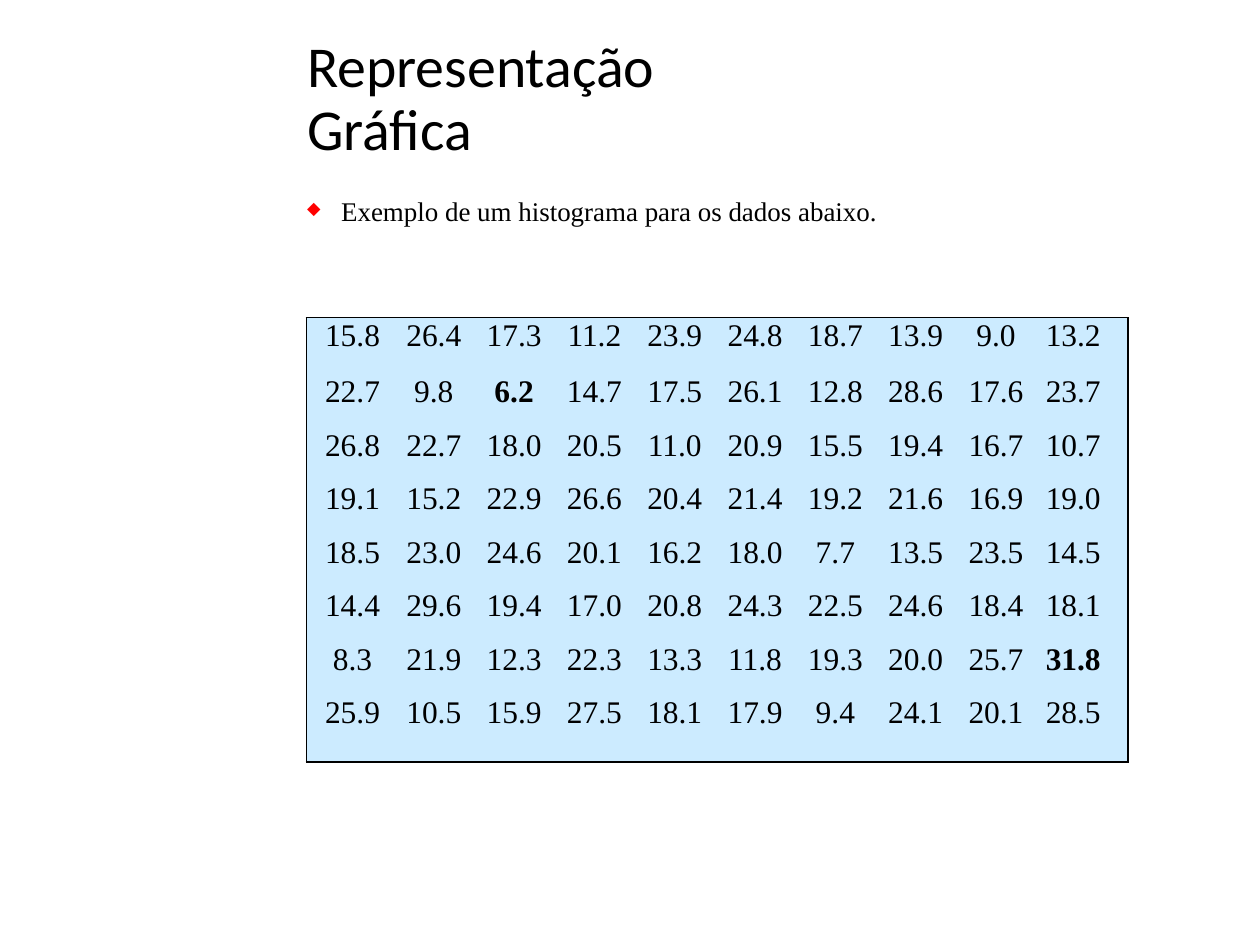
"""Build the histogram data slide with its heading, bullet and table of values."""
from lxml import etree
from pptx import Presentation
from pptx.dml.color import RGBColor
from pptx.enum.text import MSO_ANCHOR, PP_ALIGN
from pptx.oxml.ns import qn
from pptx.util import Pt

LEFT, MID = PP_ALIGN.LEFT, PP_ALIGN.CENTER
TOP, CENTER = MSO_ANCHOR.TOP, MSO_ANCHOR.MIDDLE
SERIF, SANS = "Times New Roman", "Calibri"
BLACK, RED, SKY = "000000", "FF0000", "CCEBFF"
PLAIN = "{2D5ABB26-0587-4C30-8999-92F81FD0307C}"

TITLE = "Representação Gráfica"
NOTE = "Exemplo de um histograma para os dados abaixo."
DATA = [
    "15.8 26.4 17.3 11.2 23.9 24.8 18.7 13.9 9.0 13.2".split(),
    "22.7 9.8 6.2 14.7 17.5 26.1 12.8 28.6 17.6 23.7".split(),
    "26.8 22.7 18.0 20.5 11.0 20.9 15.5 19.4 16.7 10.7".split(),
    "19.1 15.2 22.9 26.6 20.4 21.4 19.2 21.6 16.9 19.0".split(),
    "18.5 23.0 24.6 20.1 16.2 18.0 7.7 13.5 23.5 14.5".split(),
    "14.4 29.6 19.4 17.0 20.8 24.3 22.5 24.6 18.4 18.1".split(),
    "8.3 21.9 12.3 22.3 13.3 11.8 19.3 20.0 25.7 31.8".split(),
    "25.9 10.5 15.9 27.5 18.1 17.9 9.4 24.1 20.1 28.5".split(),
]
BOLD = ("6.2", "31.8")
EDGE = 272.9
WIDTHS = [77.8] + [71.55] * 8 + [82]
HEIGHTS = [62] + [47.7] * 7


def paint(fmt, hue):
    """Set a colour format from a hex string."""
    fmt.rgb = RGBColor.from_string(hue)


def put(obj, vals):
    """Set attributes from a dict."""
    for key, val in vals.items():
        setattr(obj, key, val)


def write(para, text, font, layout, indent=(0, 0)):
    """Fill one paragraph with a single styled run."""
    run = para.add_run()
    run.text = text
    put(run.font, font)
    paint(run.font.color, BLACK)
    put(para, layout)
    props = para._p.get_or_add_pPr()
    props.set("marL", str(Pt(indent[0])))
    props.set("indent", str(Pt(indent[1])))
    return props


def label(slide, box, anchor, *args):
    """Add a wrapped text box with one paragraph."""
    frame = slide.shapes.add_textbox(*map(Pt, box)).text_frame
    put(frame, dict(word_wrap=True, vertical_anchor=anchor, margin_left=0,
                    margin_right=0, margin_top=Pt(1.4), margin_bottom=0))
    return write(frame.paragraphs[0], *args)


def node(parent, tag, **attrs):
    """Append a drawing element."""
    return etree.SubElement(parent, qn("a:" + tag), attrs)


def border(cell, sides):
    """Draw black lines on the given sides of a cell."""
    props = cell._tc.get_or_add_tcPr()
    for side in sides:
        line = node(props, "ln" + side, w=str(Pt(1.5)))
        node(node(line, "solidFill"), "srgbClr", val=BLACK)


def fill_table(slide):
    """Add the table of values with an outer frame."""
    rows, cols = len(DATA), len(WIDTHS)
    box = (EDGE, 283, sum(WIDTHS), sum(HEIGHTS))
    table = slide.shapes.add_table(rows, cols, *map(Pt, box)).table
    put(table, dict(first_row=False, horz_banding=False))
    table._tbl.tblPr.find(qn("a:tableStyleId")).text = PLAIN
    for col, width in zip(table.columns, WIDTHS):
        col.width = Pt(width)
    for row, height in zip(table.rows, HEIGHTS):
        row.height = Pt(height)
    for r, vals in enumerate(DATA):
        for c, val in enumerate(vals):
            cell = table.cell(r, c)
            first, last = c == 0, c == cols - 1
            put(cell, dict(margin_left=0, margin_right=0, margin_bottom=0,
                           margin_top=Pt(0 if r else 10.8),
                           vertical_anchor=TOP))
            edges = dict(L=first, R=last, T=r == 0, B=r == rows - 1)
            border(cell, [side for side, on in edges.items() if on])
            cell.fill.solid()
            paint(cell.fill.fore_color, SKY)
            write(cell.text_frame.paragraphs[0], val,
                  dict(name=SERIF, size=Pt(28), bold=val in BOLD),
                  dict(alignment=LEFT if last else MID,
                       line_spacing=Pt(19.7 if r else 21.2),
                       space_before=Pt(0 if r else 10.7)),
                  (8.6 if last else 4.5 if first else 0, 0))


def main():
    """Assemble and save the slide."""
    deck = Presentation()
    put(deck, dict(slide_width=Pt(1122.5), slide_height=Pt(841.7)))
    slide = deck.slides.add_slide(deck.slide_layouts[6])
    label(slide, (EDGE, 31.7, 348.5, 113.8), CENTER, TITLE,
          dict(name=SANS, size=Pt(51.5)),
          dict(line_spacing=0.9, space_before=Pt(1.2)), (0.7, 0))
    props = label(slide, (EDGE, 172, 514, 30.2), TOP, NOTE,
                  dict(name=SERIF, size=Pt(24)),
                  dict(space_before=Pt(1.3)), (31, -30.2))
    node(node(props, "buClr"), "srgbClr", val=RED)
    node(props, "buSzPct", val="65000")
    node(props, "buChar", char="◆")
    fill_table(slide)
    deck.save("out.pptx")


if __name__ == "__main__":
    main()
